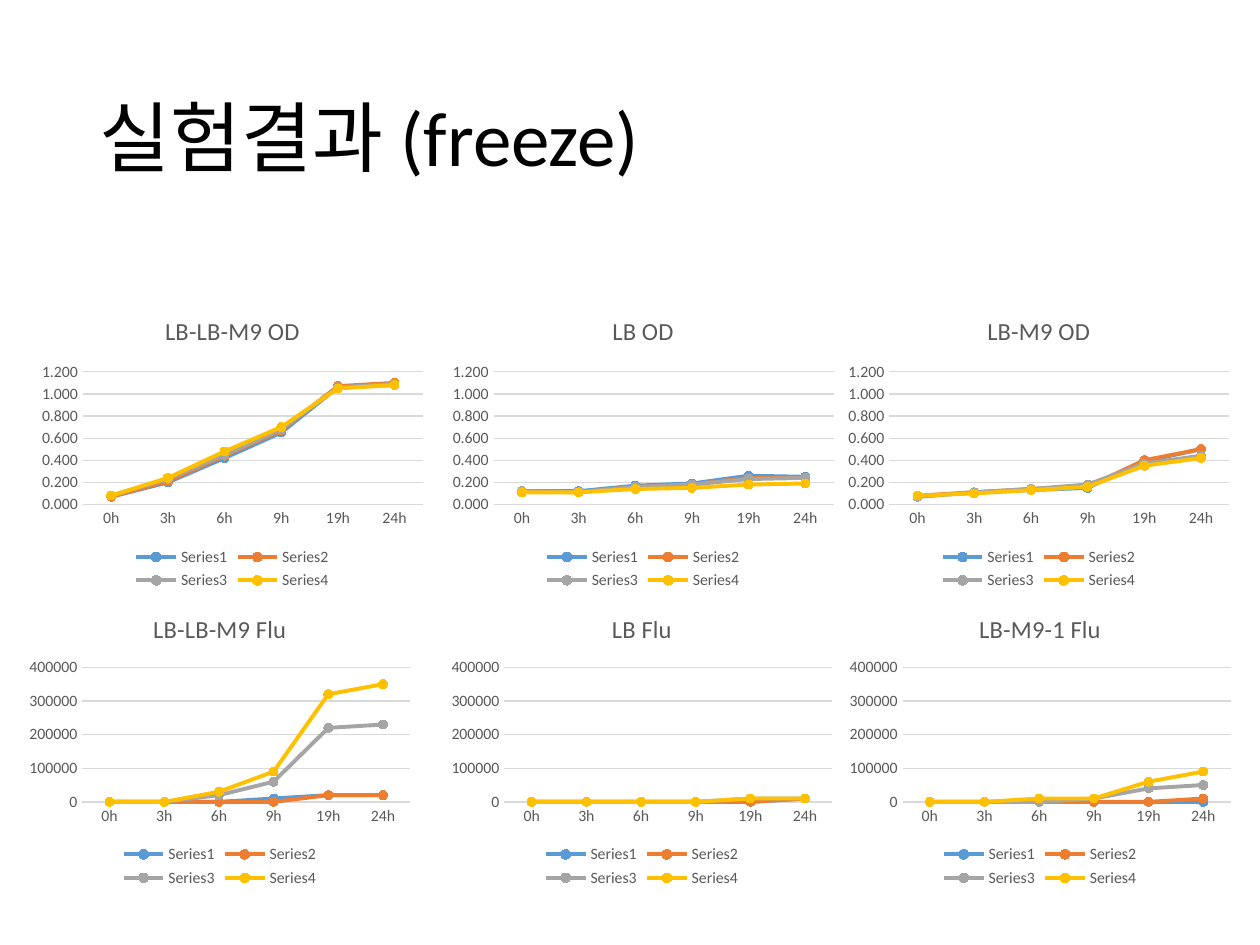
from typing import NamedTuple

from pptx import Presentation
from pptx.chart.data import CategoryChartData
from pptx.dml.color import RGBColor
from pptx.enum.chart import XL_CHART_TYPE as ChartType
from pptx.enum.chart import XL_LEGEND_POSITION as LegendPosition
from pptx.enum.chart import XL_MARKER_STYLE as MarkerStyle
from pptx.enum.chart import XL_TICK_MARK as TickMark
from pptx.enum.text import MSO_ANCHOR, PP_ALIGN
from pptx.util import Inches, Pt

FONT = "Calibri"
BLACK = RGBColor(0x00, 0x00, 0x00)
LABEL_GREY = RGBColor(0x59, 0x59, 0x59)
GRID_GREY = RGBColor(0xD9, 0xD9, 0xD9)
SERIES_COLORS = (
    RGBColor(0x5B, 0x9B, 0xD5),
    RGBColor(0xED, 0x7D, 0x31),
    RGBColor(0xA5, 0xA5, 0xA5),
    RGBColor(0xFF, 0xC0, 0x00),
)

SLIDE_WIDTH, SLIDE_HEIGHT = 10, 7.5
CHART_WIDTH = CHART_HEIGHT = None
CHART_WIDTH, CHART_HEIGHT = 3.15, 2.36
FIRST_ROW_TOP = 2.36
HOURS = ("0h", "3h", "6h", "9h", "19h", "24h")


class Measure(NamedTuple):
    maximum: float
    step: float
    number_format: str
    column_lefts: tuple
    panels: dict


OD = Measure(1.3, 0.2, "0.000", (0.27, 3.53, 6.67), {
    "LB-LB-M9 OD": (
        (0.07, 0.2, 0.42, 0.65, 1.06, 1.08),
        (0.07, 0.21, 0.44, 0.67, 1.07, 1.1),
        (0.08, 0.23, 0.45, 0.68, 1.06, 1.09),
        (0.08, 0.24, 0.48, 0.7, 1.05, 1.08),
    ),
    "LB OD": (
        (0.12, 0.12, 0.17, 0.19, 0.26, 0.25),
        (0.12, 0.11, 0.16, 0.18, 0.24, 0.24),
        (0.12, 0.11, 0.16, 0.18, 0.23, 0.24),
        (0.11, 0.11, 0.14, 0.15, 0.18, 0.19),
    ),
    "LB-M9 OD": (
        (0.07, 0.11, 0.13, 0.15, 0.39, 0.5),
        (0.08, 0.11, 0.14, 0.16, 0.4, 0.5),
        (0.07, 0.11, 0.14, 0.18, 0.37, 0.44),
        (0.08, 0.1, 0.13, 0.16, 0.35, 0.42),
    ),
})
FLUORESCENCE = Measure(400000, 100000, "#0", (0.17, 3.52, 6.68), {
    "LB-LB-M9 Flu": (
        (0, 0, 0, 10000, 20000, 20000),
        (0, 0, 0, 0, 20000, 20000),
        (0, 0, 20000, 60000, 220000, 230000),
        (0, 0, 30000, 90000, 320000, 350000),
    ),
    "LB Flu": (
        (0, 0, 0, 0, 0, 10000),
        (0, 0, 0, 0, 0, 10000),
        (0, 0, 0, 0, 10000, 10000),
        (0, 0, 0, 0, 10000, 10000),
    ),
    "LB-M9-1 Flu": (
        (0, 0, 0, 0, 0, 0),
        (0, 0, 0, 0, 0, 10000),
        (0, 0, 0, 10000, 40000, 50000),
        (0, 0, 10000, 10000, 60000, 90000),
    ),
})


def style_font(font, size, color):
    font.name = FONT
    font.size = Pt(size)
    font.bold = False
    font.color.rgb = color


def style_line(line, color, width):
    line.color.rgb = color
    line.width = Pt(width)


def write_title(slide, wording):
    title = slide.shapes.title
    title.left, title.top = Inches(0.69), Inches(0.4)
    title.width, title.height = Inches(8.62), Inches(1.45)
    title.text_frame.vertical_anchor = MSO_ANCHOR.MIDDLE
    heading = title.text_frame.paragraphs[0]
    heading.alignment = PP_ALIGN.LEFT
    heading.line_spacing = 0.9
    run = heading.add_run()
    run.text = wording
    style_font(run.font, 44, BLACK)


def style_axes(chart, measure):
    hours, readings = chart.category_axis, chart.value_axis
    for axis in (hours, readings):
        axis.major_tick_mark = axis.minor_tick_mark = TickMark.NONE
        style_font(axis.tick_labels.font, 9, LABEL_GREY)
    style_line(hours.format.line, GRID_GREY, 0.75)
    readings.format.line.fill.background()
    readings.minimum_scale = 0
    readings.maximum_scale = measure.maximum
    readings.major_unit = measure.step
    readings.has_major_gridlines = True
    style_line(readings.major_gridlines.format.line, GRID_GREY, 0.75)
    readings.tick_labels.number_format = measure.number_format
    readings.tick_labels.number_format_is_linked = False


def style_series(series, color):
    series.smooth = False
    style_line(series.format.line, color, 2.25)
    series.marker.style = MarkerStyle.CIRCLE
    series.marker.size = 5
    series.marker.format.fill.solid()
    series.marker.format.fill.fore_color.rgb = color
    style_line(series.marker.format.line, color, 0.75)


def add_growth_chart(slide, measure, name, curves, left, top):
    growth = CategoryChartData(number_format=measure.number_format)
    growth.categories = HOURS
    for number, readings in enumerate(curves, start=1):
        growth.add_series(f"Series{number}", readings)
    chart = slide.shapes.add_chart(
        ChartType.LINE_MARKERS, Inches(left), Inches(top),
        Inches(CHART_WIDTH), Inches(CHART_HEIGHT), growth).chart
    style_font(chart.font, 10, BLACK)
    chart.has_title = True
    run = chart.chart_title.text_frame.paragraphs[0].add_run()
    run.text = name
    style_font(run.font, 14, LABEL_GREY)
    chart.chart_title.include_in_layout = False
    chart.has_legend = True
    chart.legend.position = LegendPosition.BOTTOM
    chart.legend.include_in_layout = False
    style_font(chart.legend.font, 9, LABEL_GREY)
    style_axes(chart, measure)
    chart.plots[0].vary_by_categories = False
    for series, color in zip(chart.plots[0].series, SERIES_COLORS):
        style_series(series, color)


def main():
    deck = Presentation()
    deck.slide_width, deck.slide_height = Inches(SLIDE_WIDTH), Inches(SLIDE_HEIGHT)
    slide = deck.slides.add_slide(deck.slide_layouts.get_by_name("Title Only"))
    write_title(slide, "실험결과 (freeze)")
    for row, measure in enumerate((OD, FLUORESCENCE)):
        top = FIRST_ROW_TOP + row * CHART_HEIGHT
        for left, (name, curves) in zip(measure.column_lefts, measure.panels.items()):
            add_growth_chart(slide, measure, name, curves, left, top)
    deck.save("out.pptx")


if __name__ == "__main__":
    main()
